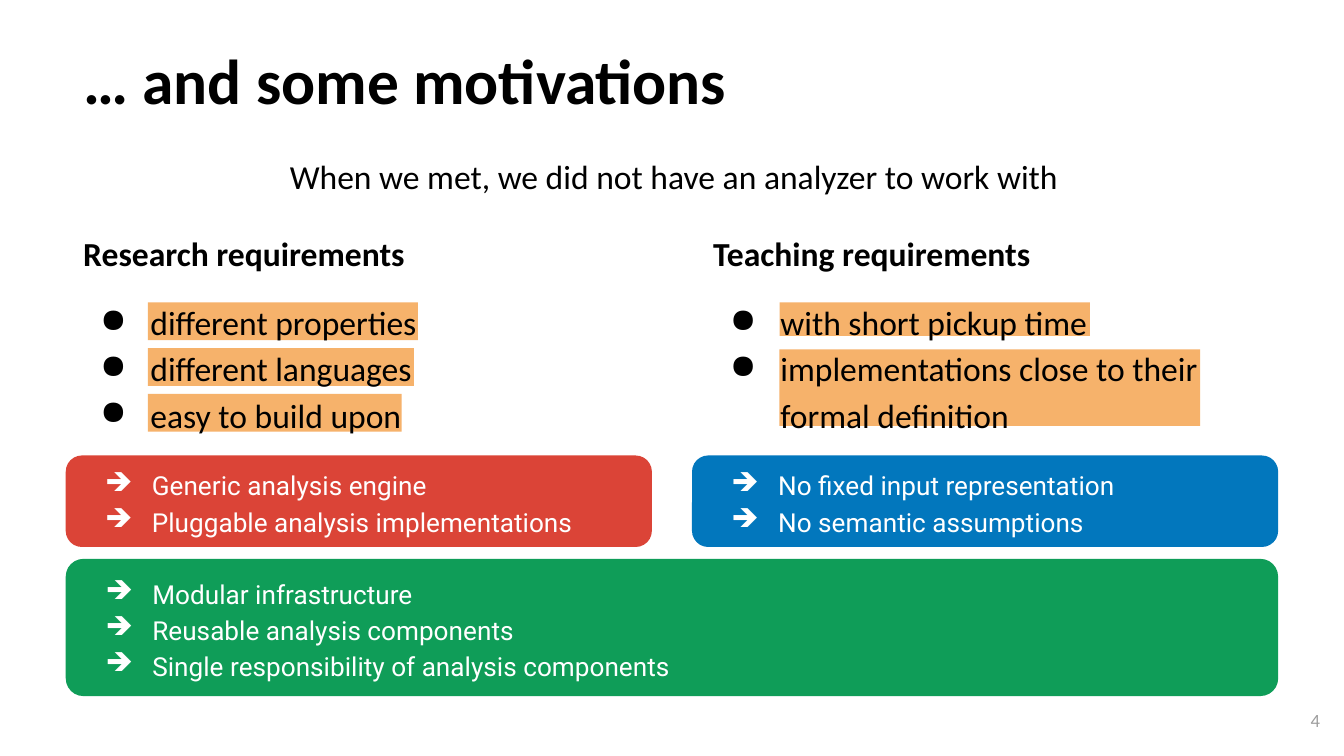
from lxml.etree import SubElement
from pptx import Presentation
from pptx.dml.color import RGBColor
from pptx.enum.shapes import MSO_SHAPE as Shape
from pptx.enum.text import MSO_ANCHOR as Anchor, PP_ALIGN as Align
from pptx.oxml.ns import qn
from pptx.util import Pt

BLACK = RGBColor(0x00, 0x00, 0x00)
WHITE = RGBColor(0xFF, 0xFF, 0xFF)
GRAY = RGBColor(0x9E, 0x9E, 0x9E)
ORANGE = RGBColor(0xF6, 0xB2, 0x6B)
RED = RGBColor(0xDB, 0x44, 0x37)
BLUE = RGBColor(0x02, 0x77, 0xBD)
GREEN = RGBColor(0x0F, 0x9D, 0x58)

LEFT, RIGHT = 37.5, 375  # left edges of the two columns
COLUMN_WIDTH, FULL_WIDTH = 309, 647.3


def write_text(shape, lines, size, color, font="Calibri", inset=7.2,
               anchor=Anchor.TOP, align=Align.LEFT, spacing=1.0):
    frame = shape.text_frame
    frame.word_wrap = True
    frame.vertical_anchor = anchor
    frame.margin_left = frame.margin_right = Pt(7.2)
    frame.margin_top = frame.margin_bottom = Pt(inset)
    frame.text = "\n".join(lines)
    for paragraph in frame.paragraphs:
        paragraph.alignment = align
        paragraph.line_spacing = spacing
        for run in paragraph.runs:
            run.font.name = font
            run.font.size = Pt(size)
            run.font.color.rgb = color
    return frame.paragraphs


def add_bullet(paragraph, character, hanging, color):
    properties = paragraph._p.get_or_add_pPr()
    properties.set("marL", str(Pt(36)))
    properties.set("indent", str(-Pt(hanging)))
    bullet_color = SubElement(properties, qn("a:buClr"))
    SubElement(bullet_color, qn("a:srgbClr"), val=str(color))
    SubElement(properties, qn("a:buChar"), char=character)


presentation = Presentation()
presentation.slide_width = Pt(720)
presentation.slide_height = Pt(405)
slide = presentation.slides.add_slide(presentation.slide_layouts[6])
shapes = slide.shapes

# Title, opening line and page number
title = shapes.add_textbox(Pt(LEFT), Pt(9.4), Pt(FULL_WIDTH), Pt(60.5))
write_text(title, ["… and some motivations"], 34, BLACK,
           anchor=Anchor.BOTTOM)[0].runs[0].font.bold = True

opening = shapes.add_textbox(Pt(LEFT), Pt(77.8), Pt(FULL_WIDTH), Pt(35.3))
write_text(opening, ["When we met, we did not have an analyzer to work with"],
           18, BLACK, align=Align.CENTER, spacing=0.95)

page_number = shapes.add_textbox(Pt(671), Pt(370), Pt(43.2), Pt(31))
write_text(page_number, ["4"], 10, GRAY, anchor=Anchor.MIDDLE, align=Align.RIGHT)

# Coloured boxes with the resulting design goals
goal_boxes = [
    (36, 244.8, 312.5, 47.5, 0.167, RED,
     ["Generic analysis engine", "Pluggable analysis implementations"]),
    (371.5, 244.8, 312.5, 47.5, 0.167, BLUE,
     ["No fixed input representation", "No semantic assumptions"]),
    (36, 300.2, 648, 72, 0.121, GREEN,
     ["Modular infrastructure", "Reusable analysis components",
      "Single responsibility of analysis components"]),
]
for left, top, width, height, rounding, color, goals in goal_boxes:
    box = shapes.add_shape(Shape.ROUNDED_RECTANGLE,
                           Pt(left), Pt(top), Pt(width), Pt(height))
    box.adjustments[0] = rounding
    box.shadow.inherit = False
    box.fill.solid()
    box.fill.fore_color.rgb = color
    box.line.color.rgb = color
    box.line.width = Pt(1.5)
    for paragraph in write_text(box, goals, 14, WHITE, font="Roboto", inset=3.6,
                                anchor=Anchor.MIDDLE, spacing=1.15):
        add_bullet(paragraph, "➔", 25, WHITE)

# Highlights behind the requirements
highlights = [
    (79.2, 162, 144.7, 20.2), (79.2, 186.5, 142.6, 20.2), (79.2, 211, 136, 20.2),
    (417.6, 162, 166.3, 18), (417.6, 187.2, 225.4, 41),
]
for left, top, width, height in highlights:
    highlight = shapes.add_shape(Shape.RECTANGLE,
                                 Pt(left), Pt(top), Pt(width), Pt(height))
    highlight.shadow.inherit = False
    highlight.fill.solid()
    highlight.fill.fore_color.rgb = ORANGE
    highlight.line.fill.background()

# Requirement columns
columns = [
    (LEFT, ["Research requirements", "different properties",
            "different languages", "easy to build upon"]),
    (RIGHT, ["Teaching requirements", "with short pickup time",
             "implementations close to their formal definition"]),
]
for left, lines in columns:
    column = shapes.add_textbox(Pt(left), Pt(114.5), Pt(COLUMN_WIDTH), Pt(121.7))
    heading, *requirements = write_text(column, lines, 18, BLACK, spacing=1.15)
    heading.runs[0].font.bold = True
    requirements[0].space_before = Pt(12)
    for paragraph in requirements:
        add_bullet(paragraph, "●", 27, BLACK)

presentation.save("out.pptx")
